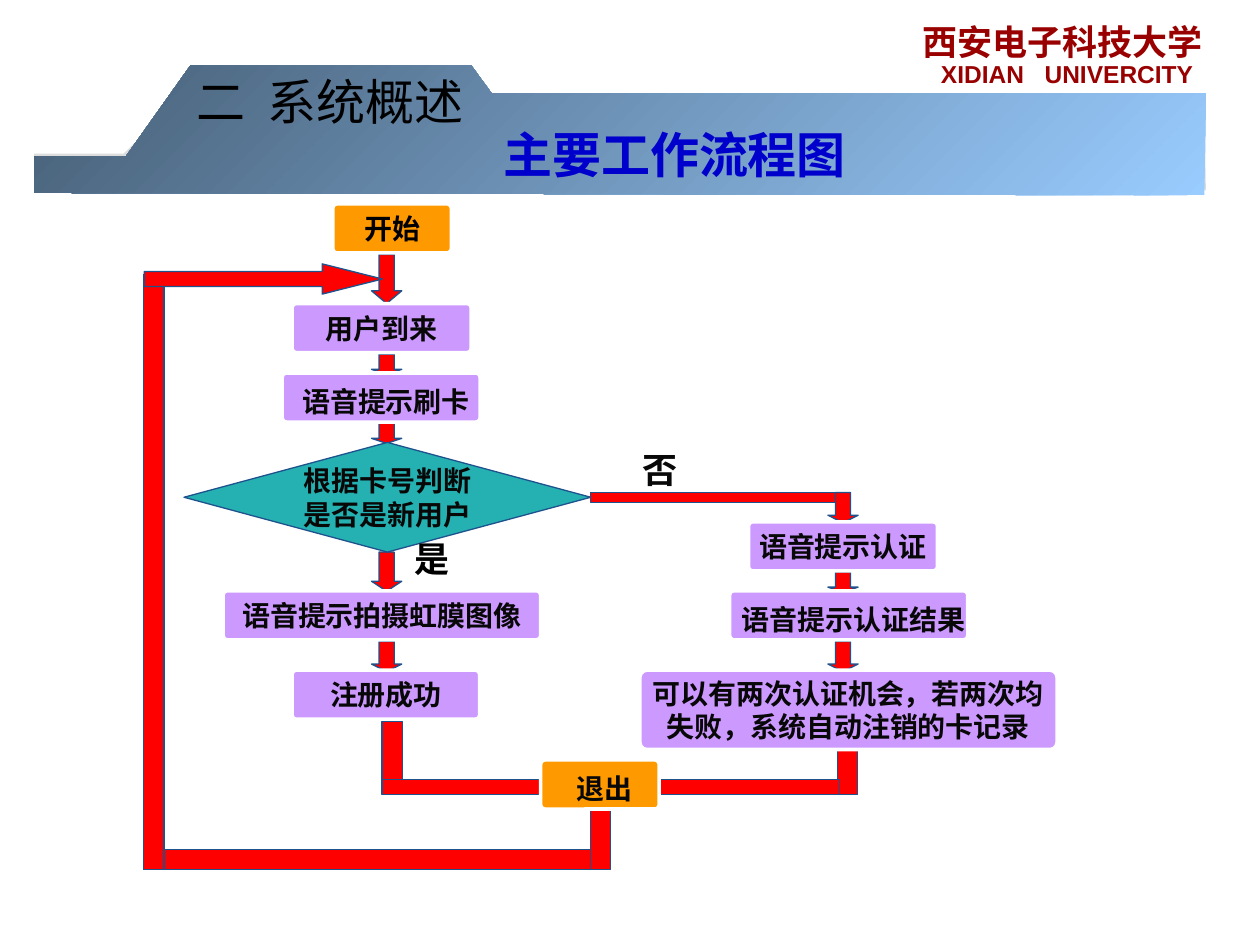
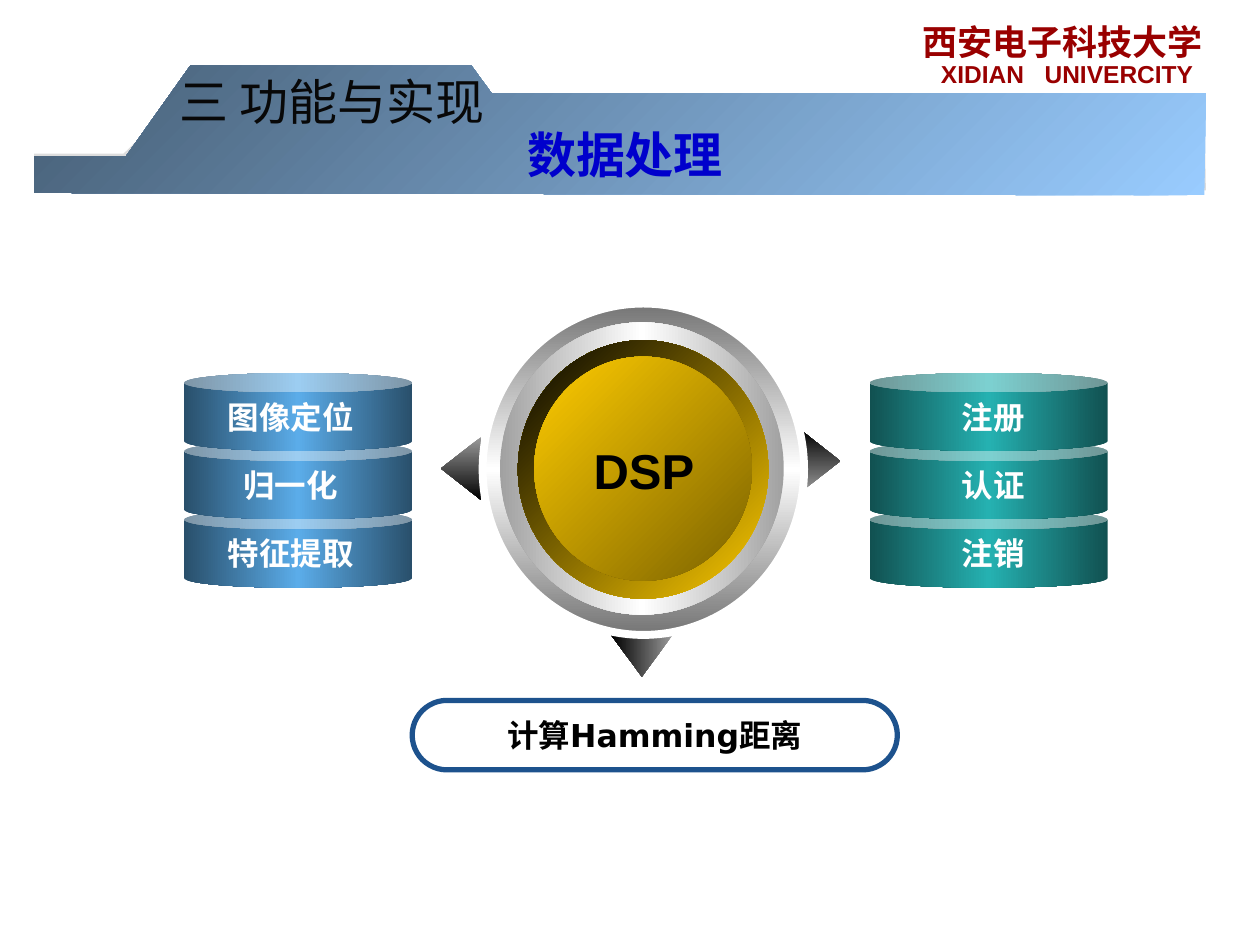
from dataclasses import dataclass
from typing import NamedTuple, Optional

from pptx import Presentation
from pptx.dml.color import RGBColor
from pptx.enum.shapes import MSO_SHAPE
from pptx.enum.text import MSO_ANCHOR, PP_ALIGN
from pptx.oxml import parse_xml
from pptx.oxml.ns import nsdecls
from pptx.util import Cm, Pt

RECT, ROUND = MSO_SHAPE.RECTANGLE, MSO_SHAPE.ROUNDED_RECTANGLE
DECISION = MSO_SHAPE.FLOWCHART_DECISION
DOWN, LEFT, RIGHT = MSO_SHAPE.DOWN_ARROW, MSO_SHAPE.LEFT_ARROW, MSO_SHAPE.RIGHT_ARROW
OVAL, CAN = MSO_SHAPE.OVAL, MSO_SHAPE.CAN
START, CENTER = PP_ALIGN.LEFT, PP_ALIGN.CENTER
TOP, MIDDLE = MSO_ANCHOR.TOP, MSO_ANCHOR.MIDDLE


@dataclass(frozen=True)
class Theme:
    font: str = "Arial"
    title_font: str = "DejaVu Sans"
    white: str = "FFFFFF"
    black: str = "000000"
    ink: str = "080808"
    edge: str = "1D528D"
    title: str = "0000CC"
    school: str = "990000"
    band_back: str = "DDDDDD"
    band_light: str = "99CCFF"
    band_dark: str = "465E75"
    step: str = "CC99FF"
    terminal: str = "FF9900"
    decision: str = "25B1B1"
    flow: str = "FF0000"
    heading: int = 28
    large: int = 20
    label: int = 18
    body: int = 16
    small: int = 14


T = Theme()


class Box(NamedTuple):
    x: float
    y: float
    w: float
    h: float


class Gradient(NamedTuple):
    colors: tuple[str, ...]
    angle: int


class Node(NamedTuple):
    text: str
    box: Box
    fill: str = T.step
    color: str = T.ink
    nudged: bool = False


class Flow(NamedTuple):
    kind: int
    box: Box
    head: float = 0.25


class Stack(NamedTuple):
    x: float
    w: float
    label_center: float
    colors: tuple[str, ...]
    labels: tuple[str, ...]


class Ring(NamedTuple):
    box: Box
    gradient: Gradient
    edged: bool = False


class Pointer(NamedTuple):
    kind: int
    box: Box
    angle: int


BAND_BACK = [(0.69, 3.1), (2.49, 3.1), (3.89, 1.73), (9.55, 1.73),
             (9.98, 2.16), (24.28, 2.13), (24.31, 3.84), (0.71, 3.78)]
BAND_FRONT = [(2.54, 3.15), (3.84, 1.32), (9.5, 1.32), (9.91, 1.88),
              (24.31, 1.88), (24.28, 3.94), (0.69, 3.89), (0.69, 3.15)]

ARROW_W, BAR, NODE_H = 0.61, 0.41, 0.99
MAIN_X, BRANCH_X = 7.49, 16.69

FLOWS = [
    Flow(RECT, Box(11.91, 9.93, 5.0, 0.2)),
    Flow(DOWN, Box(MAIN_X, 5.13, ARROW_W, 0.99), 0.42),
    Flow(DOWN, Box(MAIN_X, 7.14, ARROW_W, 0.41)),
    Flow(DOWN, Box(MAIN_X, 8.53, ARROW_W, 0.41)),
    Flow(DOWN, Box(MAIN_X, 11.13, ARROW_W, 0.79), 0.33),
    Flow(DOWN, Box(MAIN_X, 12.93, ARROW_W, 0.61)),
    Flow(DOWN, Box(BRANCH_X, 9.93, ARROW_W, 0.61)),
    Flow(DOWN, Box(BRANCH_X, 11.53, ARROW_W, 0.41)),
    Flow(DOWN, Box(BRANCH_X, 12.93, ARROW_W, 0.61)),
    Flow(RECT, Box(7.7, 14.54, BAR, 1.4)),
    Flow(RECT, Box(2.9, 17.12, 9.02, BAR)),
    Flow(RECT, Box(2.9, 5.54, BAR, 11.99)),
    Flow(RECT, Box(16.88, 15.13, BAR, 0.89)),
    Flow(RECT, Box(7.7, 15.72, 3.2, 0.3)),
    Flow(RECT, Box(13.31, 15.72, 3.61, 0.3)),
    Flow(RECT, Box(11.9, 16.34, BAR, 1.19)),
    Flow(RIGHT, Box(2.91, 5.32, 4.8, ARROW_W), 1.99),
]

NODES = [
    Node("开始", Box(6.71, 4.11, 2.39, NODE_H), T.terminal, T.black),
    Node("用户到来", Box(5.89, 6.12, 3.61, NODE_H)),
    Node("语音提示刷卡", Box(5.69, 7.52, 3.99, NODE_H), nudged=True),
    Node("语音提示拍摄虹膜图像", Box(4.5, 11.91, 6.4, NODE_H)),
    Node("注册成功", Box(5.89, 13.51, 3.78, NODE_H)),
    Node("语音提示认证", Box(15.09, 10.52, 3.81, NODE_H)),
    Node("语音提示认证结果", Box(14.71, 11.91, 4.8, NODE_H), nudged=True),
    Node("可以有两次认证机会，若两次均\n失败，系统自动注销的卡记录", Box(12.9, 13.51, 8.41, 1.6)),
    Node("退出", Box(10.9, 15.32, 2.39, NODE_H), T.terminal, nudged=True),
]

STACKS = [
    Stack(3.71, 4.6, 5.86, ("294F6B", "5BACE9", "294F6B"), ("图像定位", "归一化", "特征提取")),
    Stack(17.53, 4.8, 20.02, ("115151", "25B1B1", "115151"), ("注册", "认证", "注销")),
]
STACK_TOP, STACK_STEP, CAN_H = 7.52, 1.38, 1.57

RINGS = [
    Ring(Box(9.73, 6.12, 6.48, 6.68), Gradient(("757575", T.white, "757575"), 90), True),
    Ring(Box(10.08, 6.5, 5.72, 5.89), Gradient(("A1A1A1", T.white, "A1A1A1"), 180)),
    Ring(Box(10.44, 6.86, 5.05, 5.21), Gradient(("FFCC00", T.black), 225)),
    Ring(Box(10.77, 7.19, 4.39, 4.52), Gradient(("7B6200", "FFCC00"), 225)),
]

POINTERS = [
    Pointer(LEFT, Box(8.89, 8.81, 0.81, 1.27), 90),
    Pointer(RIGHT, Box(16.13, 8.66, 0.81, 1.27), 270),
    Pointer(DOWN, Box(12.32, 12.8, 1.24, 0.84), 180),
]


def paint(shape, fill: str | Gradient, line: Optional[str] = None, width: float = 0.75) -> None:
    shape.shadow.inherit = False
    if isinstance(fill, Gradient):
        last = len(fill.colors) - 1
        stops = "".join(f'<a:gs pos="{100000 * i // last}"><a:srgbClr val="{c}"/></a:gs>'
                        for i, c in enumerate(fill.colors))
        shape.fill.background()
        spPr = shape._element.spPr
        none = spPr.find("{*}noFill")
        spPr.replace(none, parse_xml(
            f'<a:gradFill {nsdecls("a")} rotWithShape="1"><a:gsLst>{stops}</a:gsLst>'
            f'<a:lin ang="{fill.angle * 60000}" scaled="0"/></a:gradFill>'))
    else:
        shape.fill.solid()
        shape.fill.fore_color.rgb = RGBColor.from_string(fill)
    if line:
        shape.line.color.rgb = RGBColor.from_string(line)
        shape.line.width = Pt(width)
    else:
        shape.line.fill.background()


def write(shape, text: str, size: int, color: str, bold: bool = True, align=CENTER,
          anchor=MIDDLE, font: str = T.font, wrap: bool = False) -> None:
    tf = shape.text_frame
    tf.text = text
    tf.word_wrap = wrap
    tf.vertical_anchor = anchor
    for p in tf.paragraphs:
        p.alignment = align
        for r in p.runs:
            r.font.name = font
            r.font.size = Pt(size)
            r.font.bold = bold
            r.font.color.rgb = RGBColor.from_string(color)


def add_shape(s, kind: int, box: Box, fill: str | Gradient, line: Optional[str] = None,
              width: float = 0.75, adjust: tuple[float, ...] = ()):
    sp = s.shapes.add_shape(kind, *map(Cm, box))
    for i, value in enumerate(adjust):
        sp.adjustments[i] = value
    paint(sp, fill, line, width)
    return sp


def add_text(s, box: Box, text: str, size: int, color: str, bold: bool = True,
             align=START, anchor=TOP, font: str = T.font) -> None:
    sp = s.shapes.add_textbox(*map(Cm, box))
    write(sp, text, size, color, bold, align, anchor, font, True)


def add_band(s, points: list[tuple[float, float]], fill: str | Gradient) -> None:
    first, *rest = [(Cm(x), Cm(y)) for x, y in points]
    builder = s.shapes.build_freeform(*first)
    builder.add_line_segments(rest)
    paint(builder.convert_to_shape(), fill)


def add_slide(prs, section: str, section_x: float, section_color: str,
              title: str, title_center: float):
    s = prs.slides.add_slide(prs.slide_layouts[6])
    add_band(s, BAND_BACK, T.band_back)
    add_band(s, BAND_FRONT, Gradient((T.band_light, T.band_dark), 225))
    add_text(s, Box(18.34, 0.28, 6.25, 1.12), "西安电子科技大学", T.large, T.school)
    add_text(s, Box(18.72, 1.07, 5.84, 0.86), "XIDIAN   UNIVERCITY", T.small, T.school)
    add_text(s, Box(title_center - 7, 2.31, 14, 1.57), title, T.heading, T.title,
             align=CENTER, anchor=MIDDLE, font=T.title_font)
    add_text(s, Box(section_x, 1.32, 7.59, 1.45), section, T.heading, section_color, False)
    return s


def add_node(s, node: Node) -> None:
    sp = add_shape(s, ROUND, node.box, node.fill, T.white, 2, (0.09,))
    write(sp, node.text, T.body, node.color)
    if node.nudged:
        sp.text_frame.margin_left = Cm(0.45)
        sp.text_frame.margin_top = Cm(0.28)


def add_stack(s, stack: Stack) -> None:
    for i in reversed(range(len(stack.labels))):
        add_shape(s, CAN, Box(stack.x, STACK_TOP + i * STACK_STEP, stack.w, CAN_H),
                  Gradient(stack.colors, 180), adjust=(0.25,))
    for i, label in enumerate(stack.labels):
        add_text(s, Box(stack.label_center - 2, 7.89 + i * STACK_STEP, 4, 1.02), label,
                 T.label, T.white, align=CENTER)


def build_workflow(prs) -> None:
    s = add_slide(prs, "二  系统概述", 3.72, T.black, "主要工作流程图", 13.6)
    for flow in FLOWS:
        adjust = () if flow.kind == RECT else (0.5, flow.head)
        add_shape(s, flow.kind, flow.box, T.flow, T.edge, adjust=adjust)
    sp = add_shape(s, DECISION, Box(3.71, 8.92, 8.2, 2.21), T.decision, T.edge)
    write(sp, "根据卡号判断\n是否是新用户", T.body, T.ink)
    for node in NODES:
        add_node(s, node)
    add_text(s, Box(12.7, 8.92, 1.4, 1.12), "否", T.large, T.ink)
    add_text(s, Box(8.1, 10.72, 1.4, 1.12), "是", T.large, T.black)


def build_processing(prs) -> None:
    s = add_slide(prs, "三 功能与实现", 3.37, T.ink, "数据处理", 12.6)
    for pointer in POINTERS:
        add_shape(s, pointer.kind, pointer.box, Gradient(("9A9A9A", T.black), pointer.angle),
                  adjust=(0.52, 1))
    for ring in RINGS:
        add_shape(s, OVAL, ring.box, ring.gradient, T.white if ring.edged else None, 4.5)
    add_text(s, Box(10.98, 8.76, 4, 1.45), "DSP", T.heading, T.black, align=CENTER)
    for stack in STACKS:
        add_stack(s, stack)
    sp = add_shape(s, ROUND, Box(8.31, 14.12, 9.78, 1.4), T.white, T.edge, 3, (0.5,))
    write(sp, "计算Hamming距离", T.label, T.black, font=T.title_font)


def main() -> None:
    prs = Presentation()
    prs.slide_width, prs.slide_height = Cm(25.4), Cm(19.05)
    build_workflow(prs)
    build_processing(prs)
    prs.save("out.pptx")


if __name__ == "__main__":
    main()
